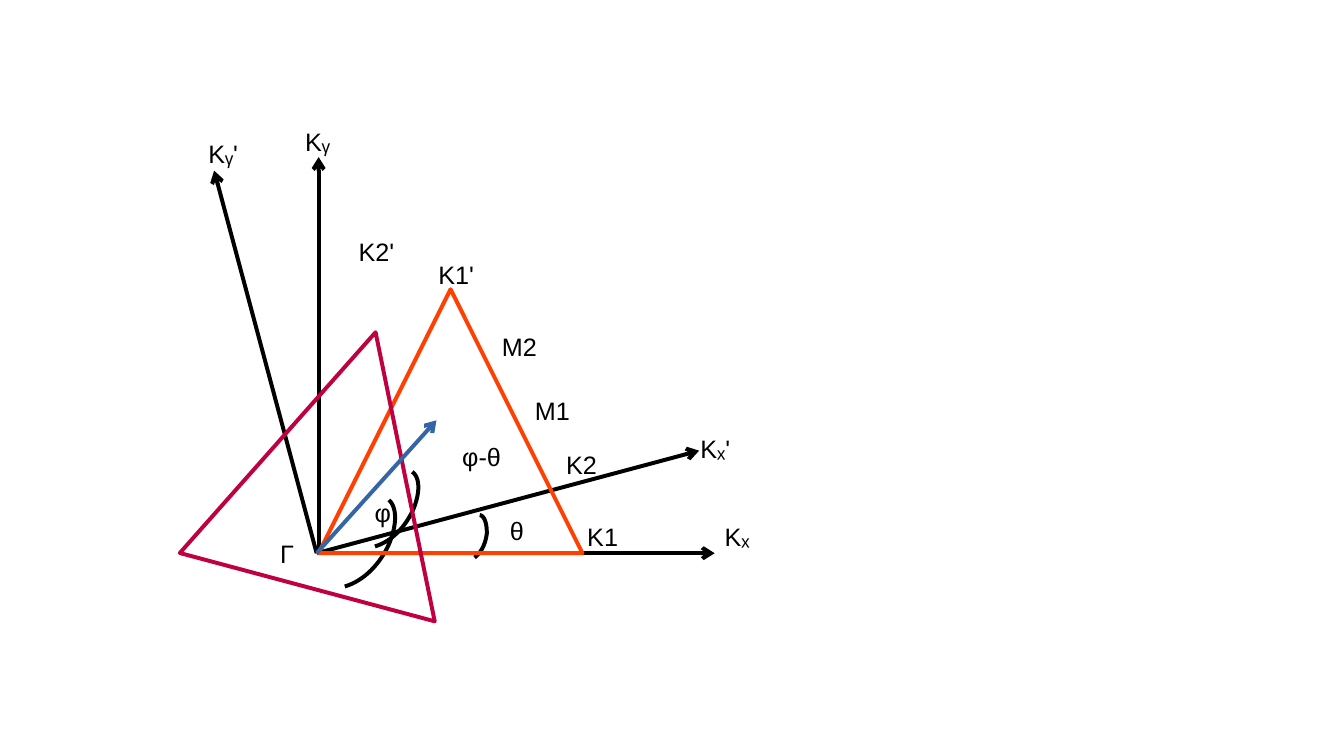
from math import cos, radians, sin

from lxml import etree
from pptx import Presentation
from pptx import util as u
from pptx.dml.color import RGBColor
from pptx.enum import text
from pptx.oxml.ns import qn

THEME = {
    "font": "Arial", "size": u.Pt(18), "line": u.Pt(2.83),
    "black": "000000", "orange": "FF4000", "crimson": "BF0041", "blue": "3465A4",
}

# All lengths are centimetres.
TWIST = 15
GAMMA = (8.03, 13.94)
TWISTED_GAMMA = (7.98, 13.94)
WAVE_TIP = (11.0, 10.59)
AXIS = 9.98
SIDE = 6.65
TRIANGLES = [("orange", (8.03, 7.29), 0), ("crimson", (5.28, 8.26), TWIST)]

# Each arc is two Bezier pieces that share their middle point.
ANGLE_ARCS = [
    [(10.39, 11.89), (10.59, 12.04), (10.59, 12.42), (10.41, 12.85),
     (10.21, 13.28), (9.88, 13.64), (9.45, 13.77)],
    [(9.8, 12.6), (10.01, 12.78), (10.01, 13.23), (9.8, 13.72),
     (9.58, 14.2), (9.19, 14.63), (8.69, 14.78)],
    [(12.09, 12.98), (12.22, 13.0), (12.27, 13.21), (12.27, 13.44),
     (12.24, 13.69), (12.14, 13.92), (11.96, 14.05)],
]

# Wording, left, top, width
LABELS = [
    ("Kₓ", 18.01, 13.0, 2.01), ("Kᵧ", 7.44, 3.05, 1.37),
    ("Γ", 6.81, 13.44, 0.84), ("K1", 14.55, 13.0, 1.65),
    ("K1ʹ", 10.8, 6.4, 1.4), ("M1", 13.23, 9.83, 1.45),
    ("K2", 14.02, 11.2, 1.37), ("M2", 12.4, 8.23, 1.65),
    ("K2ʹ", 8.79, 5.84, 1.63), ("Kᵧʹ", 5.0, 3.35, 1.37),
    ("Kₓʹ", 17.4, 10.8, 2.01), ("θ", 12.6, 12.85, 2.79),
    ("φ-θ", 11.4, 11.0, 2.21), ("φ", 9.19, 12.4, 2.21),
]
LABEL_HEIGHT = 0.97


def lengths(point):
    """Turn a centimetre point into slide lengths."""
    return tuple(u.Cm(value) for value in point)


def style_line(shape, colour):
    """Give a shape the diagram's line."""
    shape.line.color.rgb = RGBColor.from_string(THEME[colour])
    shape.line.width = THEME["line"]


def add_outline(points, colour, close):
    """Draw an unfilled outline through the points."""
    start, *rest = map(lengths, points)
    builder = diagram.build_freeform(*start)
    builder.add_line_segments(rest, close=close)
    shape = builder.convert_to_shape()
    shape.shadow.inherit = False
    shape.fill.background()
    style_line(shape, colour)
    return shape


def add_arrow(start, end, colour="black"):
    """Draw an arrow with an open head at its end."""
    arrow = diagram.add_connector(1, *lengths(start), *lengths(end))
    style_line(arrow, colour)
    etree.SubElement(arrow.line._get_or_add_ln(), qn("a:tailEnd"), type="arrow")
    etree.SubElement(arrow._element.spPr, qn("a:effectLst"))


def add_axes(origin, twist):
    """Draw an x and a y axis, turned anticlockwise by twist degrees."""
    for angle in (twist, twist + 90):
        turn = radians(angle)
        add_arrow(origin, (origin[0] + AXIS * cos(turn), origin[1] - AXIS * sin(turn)))


def add_triangle(colour, corner, twist):
    """Draw an isosceles triangle in a square box, turned clockwise."""
    left, top = corner
    points = [(left + SIDE / 2, top), (left + SIDE, top + SIDE), (left, top + SIDE)]
    add_outline(points, colour, close=True).rotation = twist


def bezier(points, steps=16):
    """Sample the four-point Bezier piece."""
    for step in range(steps + 1):
        t = step / steps
        weights = ((1 - t) ** 3, 3 * t * (1 - t) ** 2, 3 * t * t * (1 - t), t ** 3)
        yield tuple(sum(w * p[i] for w, p in zip(weights, points)) for i in (0, 1))


def add_label(wording, left, top, width):
    """Write one label."""
    box = diagram.add_textbox(*lengths((left, top, width, LABEL_HEIGHT)))
    frame = box.text_frame
    frame.word_wrap = True
    frame.auto_size = text.MSO_AUTO_SIZE.NONE
    frame.margin_right = 0
    span = frame.paragraphs[0].add_run()
    span.text = wording
    span.font.name = THEME["font"]
    span.font.size = THEME["size"]
    span.font.color.rgb = RGBColor.from_string(THEME["black"])


deck = Presentation()
deck.slide_width, deck.slide_height = lengths((33.87, 19.05))
page = deck.slides.add_slide(deck.slide_layouts[6])
diagram = page.shapes.add_group_shape().shapes

for arc in ANGLE_ARCS:
    add_outline([*bezier(arc[:4]), *bezier(arc[3:])], "black", close=False)
add_axes(GAMMA, 0)
add_axes(TWISTED_GAMMA, TWIST)
for triangle in TRIANGLES:
    add_triangle(*triangle)
add_arrow(TWISTED_GAMMA, WAVE_TIP, "blue")
for label in LABELS:
    add_label(*label)

deck.save("out.pptx")
